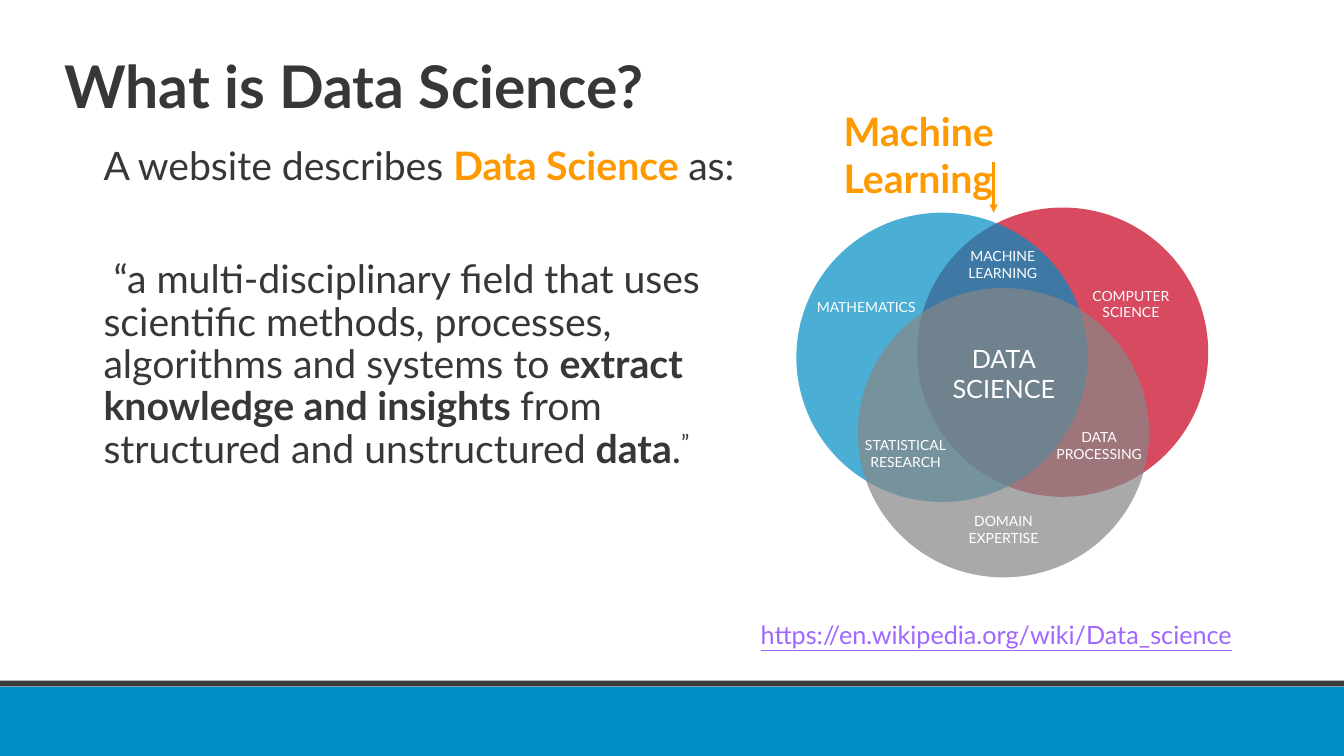
"""Build a slide that defines data science beside a three-circle Venn diagram."""
from dataclasses import dataclass

from lxml import etree
from pptx import Presentation
from pptx import util as u
from pptx.dml.color import RGBColor
from pptx.enum import shapes, text
from pptx.oxml.ns import qn


@dataclass(frozen=True)
class Theme:
    """Colours, font and type sizes of the slide."""
    font: str = "Lato"
    ink: str = "373737"
    accent: str = "FF9900"
    link: str = "A066FF"
    white: str = "FFFFFF"
    blue: str = "008DC4"
    red: str = "C7001E"
    grey: str = "878787"
    rule: str = "383D3B"
    title: int = 42
    body: int = 28
    medium: int = 18
    label: int = 10


T = Theme()
ALPHA = 71
CIRCLE_SIZE = (7.34, 7.29)
CIRCLES = [
    (23.11, 5.23, T.red),
    (20.07, 5.36, T.blue),
    (21.62, 7.26, T.grey),
]
LABELS = [
    ("DATA\nSCIENCE", (23.6, 8.53, 3.4, 1.8), T.medium),
    ("MACHINE LEARNING", (23.57, 6.12, 3.4, 1.12), T.label),
    ("COMPUTER\nSCIENCE", (26.8, 7.11, 3.4, 1.12), T.label),
    ("MATHEMATICS", (19.86, 7.39, 3.94, 0.69), T.label),
    ("STATISTICAL\nRESEARCH", (20.85, 10.87, 3.94, 1.12), T.label),
    ("DOMAIN\nEXPERTISE", (23.32, 12.8, 3.94, 1.12), T.label),
    ("DATA\nPROCESSING", (25.73, 10.67, 3.94, 1.12), T.label),
]
INTRO = [
    ("A website describes ", {}),
    ("Data Science ", {"bold": True, "color": T.accent}),
    ("as:", {}),
]
QUOTE = [
    (" “a multi-disciplinary field that uses scientific methods, "
     "processes, algorithms and systems to ", {}),
    ("extract knowledge and insights ", {"bold": True}),
    ("from structured and unstructured ", {}),
    ("data", {"bold": True}),
    (".", {}),
    ("”", {"raised": True}),
]


def add_run(p, content, size=T.body, color=T.ink, bold=False, underline=False, raised=False):
    """Append a formatted run to a paragraph."""
    r = p.add_run()
    r.text = content
    r.font.name = T.font
    r.font.size = u.Pt(size)
    r.font.bold = bold
    r.font.underline = underline
    r.font.color.rgb = RGBColor.from_string(color)
    if raised:
        r.font._element.set("baseline", "30000")


def add_text_box(slide, box):
    """Add an empty wrapping text box and return its text frame."""
    tf = slide.shapes.add_textbox(*map(u.Cm, box)).text_frame
    tf.word_wrap = True
    return tf


def add_text(slide, content, box, align=text.PP_ALIGN.LEFT, spacing=1.0, **fmt):
    """Add a text box with one paragraph for each line of the content."""
    tf = add_text_box(slide, box)
    for i, line in enumerate(content.split("\n")):
        p = tf.add_paragraph() if i else tf.paragraphs[0]
        p.alignment = align
        p.line_spacing = spacing
        add_run(p, line, **fmt)


def add_rich_text(slide, paragraphs, box, gap):
    """Add a text box whose paragraphs mix several run formats."""
    tf = add_text_box(slide, box)
    for i, runs in enumerate(paragraphs):
        p = tf.add_paragraph() if i else tf.paragraphs[0]
        p.line_spacing = 0.9
        p.space_before = u.Pt(gap if i else 0)
        for content, fmt in runs:
            add_run(p, content, **fmt)


def add_solid(slide, kind, box, color, alpha=100):
    """Add a borderless filled shape with an opacity in percent."""
    sp = slide.shapes.add_shape(kind, *map(u.Cm, box))
    sp.shadow.inherit = False
    sp.line.fill.background()
    sp.fill.solid()
    sp.fill.fore_color.rgb = RGBColor.from_string(color)
    if alpha < 100:
        clr = sp.fill._xPr.find(".//" + qn("a:srgbClr"))
        etree.SubElement(clr, qn("a:alpha"), val=str(alpha * 1000))


def add_arrow(slide, start, end, color, width):
    """Add a straight arrow pointing at its end."""
    c = slide.shapes.add_connector(shapes.MSO_CONNECTOR.STRAIGHT, *map(u.Cm, start + end))
    c.line.color.rgb = RGBColor.from_string(color)
    c.line.width = u.Pt(width)
    etree.SubElement(c.line._get_or_add_ln(), qn("a:tailEnd"), type="triangle")
    etree.SubElement(c._element.spPr, qn("a:effectLst"))


def add_venn(slide):
    """Draw the overlapping circles and their labels."""
    for left, top, color in CIRCLES:
        add_solid(slide, shapes.MSO_SHAPE.OVAL, (left, top, *CIRCLE_SIZE), color, ALPHA)
    for content, box, size in LABELS:
        add_text(slide, content, box, text.PP_ALIGN.CENTER, size=size, color=T.white)


def main():
    """Build and save the slide."""
    prs = Presentation()
    prs.slide_width, prs.slide_height = u.Cm(33.87), u.Cm(19.05)
    slide = prs.slides.add_slide(prs.slide_layouts[6])
    add_solid(slide, shapes.MSO_SHAPE.RECTANGLE, (0, 17.3, 33.87, 1.75), T.blue)
    add_solid(slide, shapes.MSO_SHAPE.RECTANGLE, (0, 17.15, 33.87, 0.15), T.rule)
    add_text(slide, "What is Data Science?", (1.37, 1.32, 29.21, 2.77),
             spacing=0.9, size=T.title, bold=True)
    add_rich_text(slide, [INTRO, QUOTE], (2.36, 3.58, 16.99, 13.54), gap=50.5)
    add_venn(slide)
    add_arrow(slide, (25.04, 4.09), (25.04, 5.36), T.accent, 2)
    add_text(slide, "Machine\nLearning", (21.01, 2.59, 8.2, 1.45),
             size=T.body, color=T.accent, bold=True)
    add_text(slide, "https://en.wikipedia.org/wiki/Data_science", (18.92, 15.47, 13, 1.02),
             size=T.medium, color=T.link, underline=True)
    prs.save("out.pptx")


if __name__ == "__main__":
    main()
